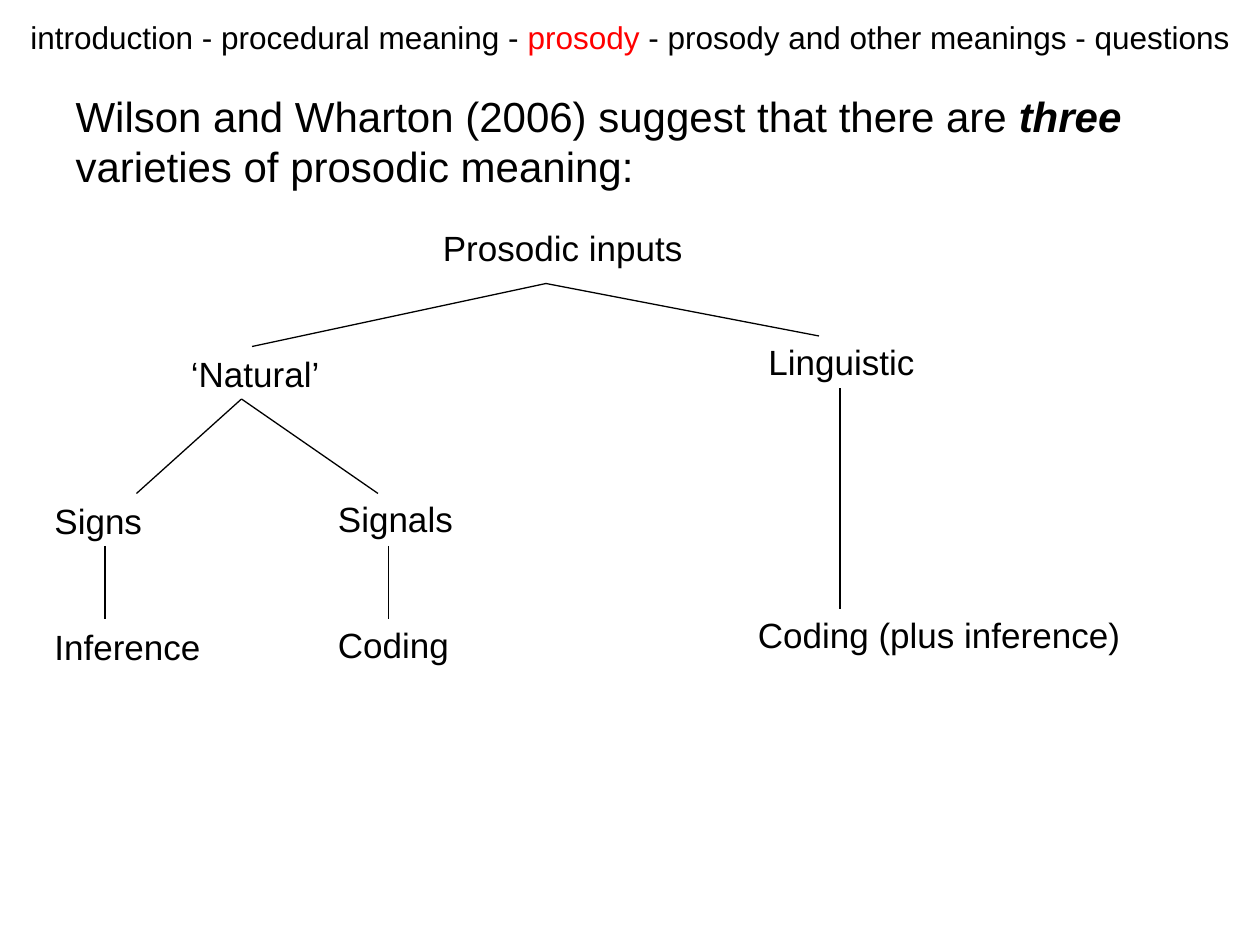
from lxml import etree
from pptx import Presentation
from pptx import util as u
from pptx.dml.color import RGBColor
from pptx.enum import shapes, text
from pptx.oxml.ns import qn

COLORS = {"ink": "000000", "current": "FF0000"}
FONT = "Arial"

SECTIONS = ["introduction", "procedural meaning", "prosody",
            "prosody and other meanings", "questions"]

NODES = [
    ("Prosodic inputs", 222, 0, 156),
    ("‘Natural’", 78, 72, 156),
    ("Linguistic", 408, 65, 156),
    ("Signs", 0, 156, 156),
    ("Signals", 162, 155, 156),
    ("Coding (plus inference)", 402, 221, 276),
    ("Coding", 162, 227, 156),
    ("Inference", 0, 228, 156),
]

BRANCHES = [
    ((288, 36), [(120, 72), (444, 66)]),
    ((114, 102), [(54, 156), (192, 156)]),
    ((36, 186), [(36, 228)]),
    ((198, 186), [(198, 228)]),
    ((456, 96), [(456, 222)]),
]


def add_run(paragraph, words, size=20, color="ink", bold=False, italic=False):
    run = paragraph.add_run()
    run.text = words
    font = run.font
    font.name, font.size = FONT, u.Pt(size)
    font.bold, font.italic = bold, italic
    font.color.rgb = RGBColor.from_string(COLORS[color])


def place(shape, box):
    shape.left, shape.top, shape.width, shape.height = map(u.Pt, box)


def format_frame(frame, anchor=text.MSO_ANCHOR.TOP, align=text.PP_ALIGN.LEFT):
    frame.word_wrap = True
    frame.auto_size = text.MSO_AUTO_SIZE.NONE
    frame.vertical_anchor = anchor
    paragraph = frame.paragraphs[0]
    paragraph.alignment = align
    paragraph.space_before = u.Pt(0)
    return paragraph


def fill_navigation(shape, box, current):
    place(shape, box)
    paragraph = format_frame(shape.text_frame, text.MSO_ANCHOR.MIDDLE,
                             text.PP_ALIGN.CENTER)
    for index, section in enumerate(SECTIONS):
        if index:
            add_run(paragraph, " - ", size=18)
        add_run(paragraph, section, size=18,
                color="current" if section == current else "ink")


def fill_statement(shape, box):
    place(shape, box)
    paragraph = format_frame(shape.text_frame)
    properties = paragraph._p.get_or_add_pPr()
    properties.set("marL", "0")
    properties.set("indent", "0")
    etree.SubElement(properties, qn("a:buNone"))
    add_run(paragraph, "Wilson and Wharton (2006) suggest that there are ", size=24)
    add_run(paragraph, "three", size=24, bold=True, italic=True)
    add_run(paragraph, " varieties of prosodic meaning:", size=24)


def add_branch(slide, start, end):
    connector = slide.shapes.add_connector(
        shapes.MSO_CONNECTOR.STRAIGHT, *map(u.Pt, start + end))
    connector.line.color.rgb = RGBColor.from_string(COLORS["ink"])
    connector.line.width = u.Pt(0.75)
    etree.SubElement(connector._element.spPr, qn("a:effectLst"))


def add_tree(slide, left, top):
    for label, x, y, width in NODES:
        shape = slide.shapes.add_textbox(
            *map(u.Pt, (left + x, top + y, width, 32)))
        add_run(format_frame(shape.text_frame), label)
    for (x, y), ends in BRANCHES:
        for end_x, end_y in ends:
            add_branch(slide, (left + x, top + y), (left + end_x, top + end_y))


def main():
    presentation = Presentation()
    presentation.slide_width, presentation.slide_height = u.Pt(720), u.Pt(540)
    slide = presentation.slides.add_slide(presentation.slide_layouts[1])
    fill_navigation(slide.shapes.title, (0, 6, 720, 30), current="prosody")
    fill_statement(slide.placeholders[1], (36, 48, 648, 72))
    add_tree(slide, left=24, top=126)
    presentation.save("out.pptx")


if __name__ == "__main__":
    main()
